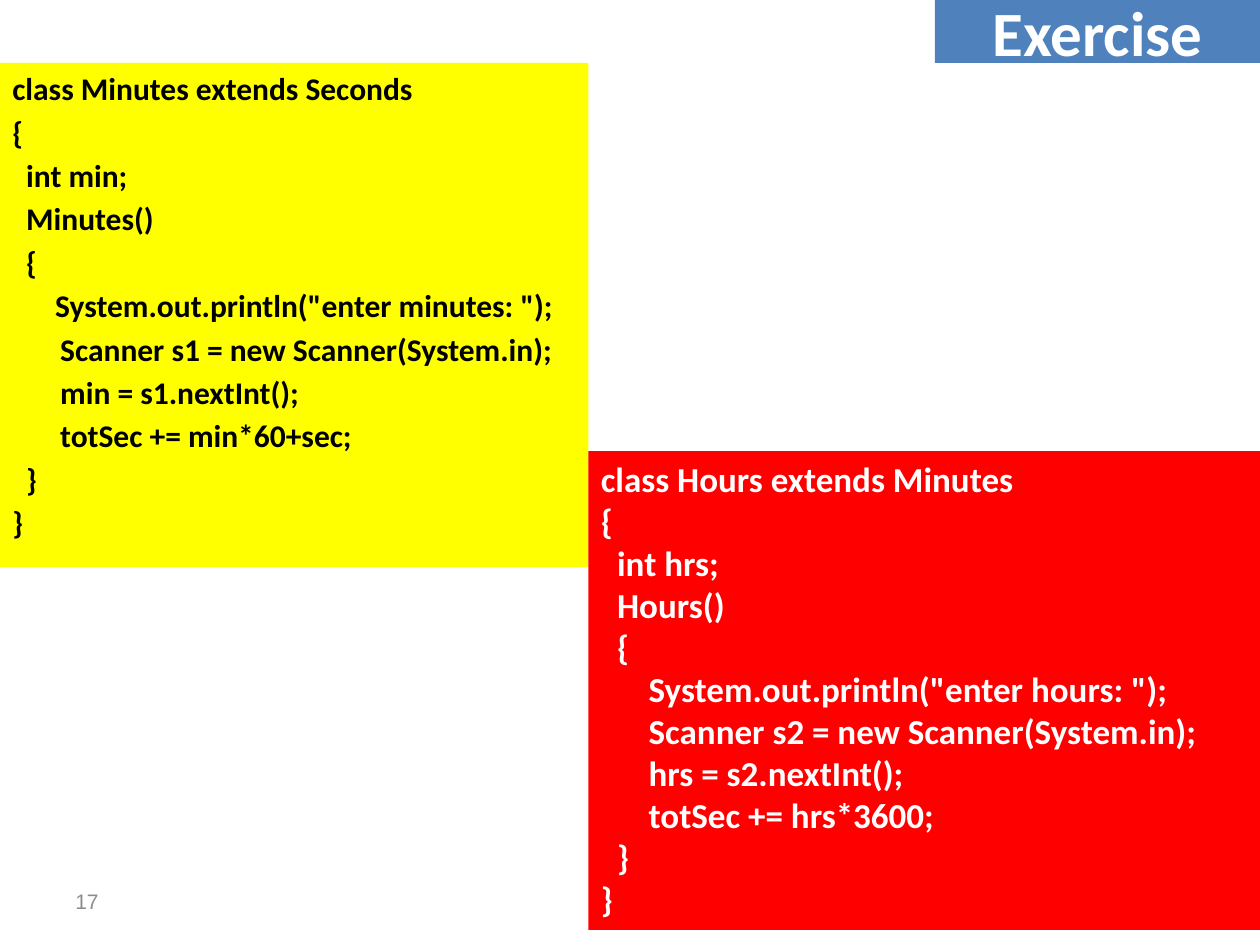
from dataclasses import dataclass

import pptx
import pptx.dml.color
import pptx.enum.shapes
import pptx.enum.text
import pptx.util

Inches = pptx.util.Inches
Pt = pptx.util.Pt
Align = pptx.enum.text.PP_ALIGN
Anchor = pptx.enum.text.MSO_ANCHOR


@dataclass
class Line:
    text: str
    indent: float = 0


@dataclass
class Panel:
    left: float
    top: float
    width: float
    height: float
    lines: list[Line]
    size: float
    color: str
    fill: str | None = None
    font: str = "Calibri"
    bold: bool = True
    align: Align = Align.LEFT
    anchor: Anchor = Anchor.TOP
    space_before: float = 0


def rgb(color: str) -> pptx.dml.color.RGBColor:
    return pptx.dml.color.RGBColor.from_string(color)


def add_panel(slide: pptx.slide.Slide, panel: Panel) -> None:
    box = [Inches(value) for value in (panel.left, panel.top, panel.width, panel.height)]
    if panel.fill is None:
        shape = slide.shapes.add_textbox(*box)
    else:
        shape = slide.shapes.add_shape(pptx.enum.shapes.MSO_SHAPE.RECTANGLE, *box)
        shape.shadow.inherit = False
        shape.fill.solid()
        shape.fill.fore_color.rgb = rgb(panel.fill)
        shape.line.fill.background()
    frame = shape.text_frame
    frame.word_wrap = True
    frame.vertical_anchor = panel.anchor
    frame.text = "\n".join(line.text for line in panel.lines)
    for paragraph, line in zip(frame.paragraphs, panel.lines):
        paragraph.alignment = panel.align
        paragraph.space_before = Pt(panel.space_before)
        properties = paragraph._p.get_or_add_pPr()
        properties.set("marL", str(Inches(line.indent)))
        properties.set("indent", "0")
        for run in paragraph.runs:
            run.font.name = panel.font
            run.font.size = Pt(panel.size)
            run.font.bold = panel.bold
            run.font.color.rgb = rgb(panel.color)


def class_lines(name: str, parent: str, field: str, body: list[Line], member_indent: float) -> list[Line]:
    return [
        Line(f"class {name} extends {parent}"),
        Line("{"),
        *(Line(text, member_indent) for text in (f"int {field};", f"{name}()", "{")),
        *body,
        Line("}", member_indent),
        Line("}"),
    ]


minutes_body = [
    Line('System.out.println("enter minutes: ");', 0.34),
    Line("Scanner s1 = new Scanner(System.in);", 0.38),
    Line("min = s1.nextInt();", 0.38),
    Line("totSec += min*60+sec;", 0.38),
]
hours_body = [
    Line(text, 0.38)
    for text in (
        'System.out.println("enter hours: ");',
        "Scanner s2 = new Scanner(System.in);",
        "hrs = s2.nextInt();",
        "totSec += hrs*3600;",
    )
]

panels = [
    Panel(0.5, 6.95, 2.33, 0.4, [Line("17")], 12, "8C8C8C",
          font="Arial", bold=False, anchor=Anchor.MIDDLE),
    Panel(0, 0.5, 4.67, 4, class_lines("Minutes", "Seconds", "min", minutes_body, 0.11),
          18, "000000", "FFFF00", space_before=3.2),
    Panel(4.67, 3.58, 5.33, 3.8, class_lines("Hours", "Minutes", "hrs", hours_body, 0.13),
          20, "FFFFFF", "FF0000"),
    Panel(7.42, 0, 2.58, 0.5, [Line("Exercise")], 36, "FFFFFF", "4F81BD",
          align=Align.CENTER, anchor=Anchor.MIDDLE),
]

presentation = pptx.Presentation()
presentation.slide_width = Inches(10)
presentation.slide_height = Inches(7.5)
slide = presentation.slides.add_slide(presentation.slide_layouts[6])
for panel in panels:
    add_panel(slide, panel)
presentation.save("out.pptx")
